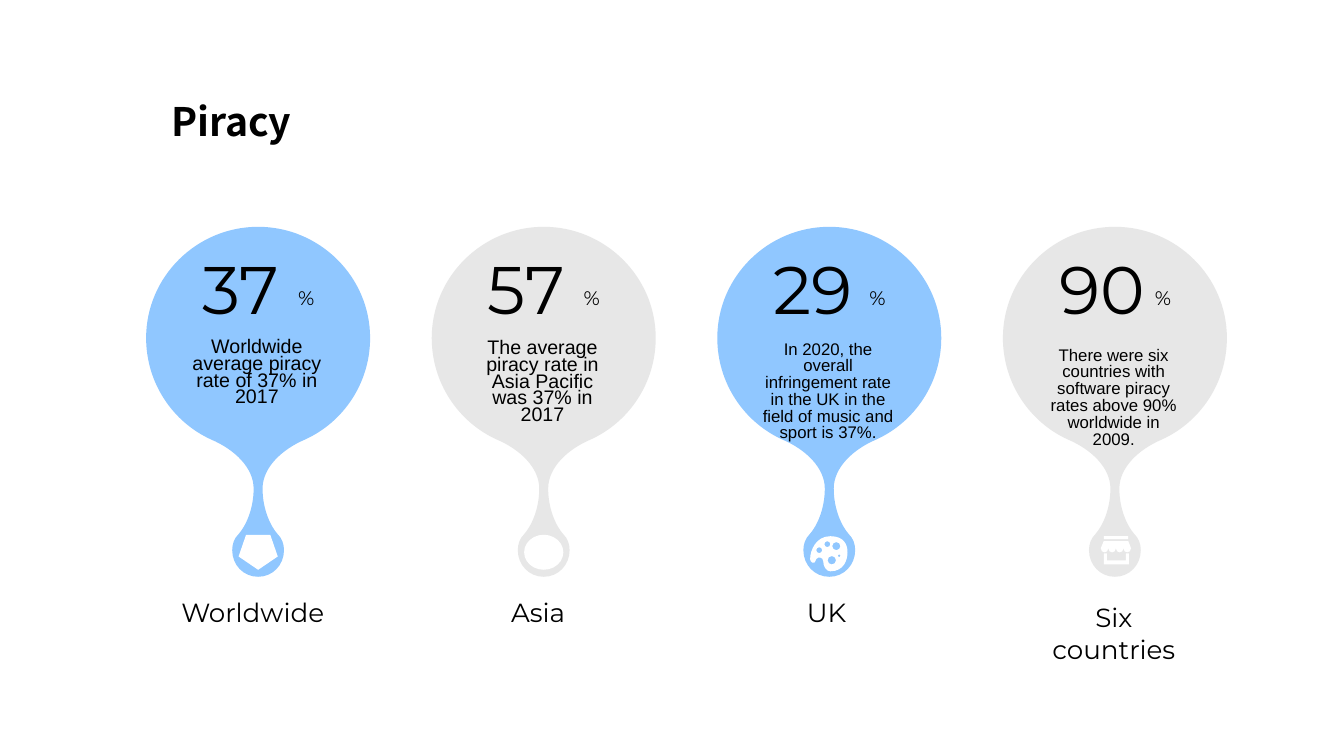
from pptx import Presentation
from pptx.dml.color import RGBColor
from pptx.enum import shapes, text
from pptx.oxml import ns
from pptx.util import Pt

BLUE = RGBColor(0x90, 0xC7, 0xFF)
GREY = RGBColor(0xE7, 0xE7, 0xE7)
WHITE = RGBColor(0xFF, 0xFF, 0xFF)
BLACK = RGBColor(0, 0, 0)
SANS = "Montserrat"

# An outline is a start point, then lines (x, y) or cubic curves (6 numbers).
# Left half of the drop, from its top centre
DROP = [
    (0, 0),
    (-43.8, 0, -80, 35.6, -80, 79.4),
    (-80, 111.6, -61, 139.5, -33.5, 152),
    (-17, 159, -3.2, 172, -3.2, 187),
    (-3.2, 202, -9, 214, -14, 219.6),
    (-17, 222.5, -18.5, 226.5, -18.5, 231),
    (-18.5, 241.5, -10.5, 250, 0, 250),
]
# Palette body and its holes (x, y, radius), from the icon centre
BODY = [
    (0.7, -10),
    (-9.4, -10, -13.7, 0, -13.7, 6.5),
    (-13.7, 8, -10.8, 11.5, -9.4, 6.5),
    (-8, 4.3, -4.3, 5, -4.3, 8),
    (-4.3, 11.5, -2.2, 15.1, 0.7, 15.1),
    (10.8, 15.1, 13, 6.5, 13, 1.4),
    (13, -3.6, 10.8, -10, 0.7, -10),
]
HOLES = [(-7.2, 0, 2.1), (-1.4, -4.3, 2.1), (1.8, 7.2, 3),
         (7, 4, 1.1), (5, -2.9, 2.9)]

# label, label offset and width, rate, note, note size, note top
DATA = [
    ("Worldwide", 18, 123, "37",
     "Worldwide average piracy rate of 37% in 2017", 14, 77.8),
    ("Asia", 49.7, 59.8, "57",
     "The average piracy rate in Asia Pacific was 37% in 2017", 14, 78.5),
    ("UK", 56.9, 46, "29",
     "In 2020, the overall infringement rate in the UK in the field of "
     "music and sport is 37%.", 12, 78.5),
    ("Six\ncountries", 20.2, 118, "90",
     "There were six countries with software piracy rates above 90% "
     "worldwide in 2009.", 12, 82.8),
]


def pairs(nums):
    return list(zip(nums[::2], nums[1::2]))


def mirror(half):
    """Close a left half with its reflection."""
    dots = [dot for step in half for dot in pairs(step)]
    back = [(-x, y) for x, y in dots[-2::-1]]
    return half + [sum(back[i:i + 3], ()) for i in range(0, len(back), 3)]


def ring(x, y, r):
    k = 0.55 * r
    return [(x, y - r),
            (x + k, y - r, x + r, y - k, x + r, y),
            (x + r, y + k, x + k, y + r, x, y + r),
            (x - k, y + r, x - r, y + k, x - r, y),
            (x - r, y - k, x - k, y - r, x, y - r)]


def paint(shape, color):
    shape.shadow.inherit = False
    shape.fill.solid()
    shape.fill.fore_color.rgb = color
    shape.line.fill.background()


def draw(slide, x, y, loops, color):
    """Fill one shape made of closed outlines around the point x, y."""
    pen = None
    for loop in loops:
        dots = [(Pt(x + a), Pt(y + b)) for step in loop for a, b in pairs(step)]
        if pen:
            pen.move_to(*dots[0])
        else:
            pen = slide.shapes.build_freeform(*dots[0], scale=1.0)
        pen.add_line_segments(dots[1:], close=True)
    shape = pen.convert_to_shape()
    # Join the three points of each curve
    nodes = iter(list(shape.element.iter(ns.qn("a:lnTo"))))
    for loop in loops:
        for step in loop[1:]:
            node = next(nodes)
            if len(step) == 6:
                node.tag = ns.qn("a:cubicBezTo")
                for _ in range(2):
                    extra = next(nodes)
                    node.append(extra[0])
                    extra.getparent().remove(extra)
    paint(shape, color)


def write(slide, box, words, size, font=SANS, wrap=False, mid=False,
          space=None, bold=False):
    frame = slide.shapes.add_textbox(*map(Pt, box)).text_frame
    frame.text = words
    frame.word_wrap = wrap
    frame.auto_size = text.MSO_AUTO_SIZE.SHAPE_TO_FIT_TEXT
    for para in frame.paragraphs:
        para.alignment = text.PP_ALIGN.CENTER if mid else text.PP_ALIGN.LEFT
        if space:
            para.line_spacing = space
        para.font.size = Pt(size)
        para.font.name = font
        para.font.bold = bold
        para.font.color.rgb = BLACK
    return frame


# Icons, each around the centre of the drop's foot
def plain(slide, kind, x, y, turn=0):
    mark = slide.shapes.add_shape(kind, Pt(x - 14), Pt(y - 11), Pt(28), Pt(25))
    mark.rotation = turn
    paint(mark, WHITE)


def gem(slide, x, y):
    plain(slide, shapes.MSO_SHAPE.REGULAR_PENTAGON, x, y, 180)


def dot(slide, x, y):
    plain(slide, shapes.MSO_SHAPE.OVAL, x, y)


def palette(slide, x, y):
    draw(slide, x, y, [BODY] + [ring(*hole) for hole in HOLES], WHITE)


def shop(slide, x, y):
    wide, edge = 5.4, -1.4
    awning = [(11.5, edge)]
    for i in range(4):
        a = 11.5 - i * wide
        awning.append((a, 2.5, a - wide, 2.5, a - wide, edge))
    awning += [(-8, -6.5), (9.6, -6.5)]
    bar = [(-7.9, -10.1), (9.4, -10.1), (9.4, -7.9), (-7.9, -7.9)]
    walls = [(-7.9, 2.2), (-5.8, 2.2), (-5.8, 7.2), (7.9, 7.2),
             (7.9, 2.2), (10, 2.2), (10, 10.1), (-7.9, 10.1)]
    draw(slide, x, y, [awning, bar, walls], WHITE)


def column(slide, x, y, color, icon, data):
    label, shift, wide, rate, note, size, top = data
    # Drop
    draw(slide, x + 80, y, [mirror(DROP)], color)
    # Rate and note
    write(slide, (x + 33.1, y + 10.8, 79.2, 65.5), rate, 48)
    write(slide, (x + 101.5, y + 38.9, 28.8, 24.5), "%", 14)
    write(slide, (x + 23, y + top, 112.3, 68), note, size, "Arial",
          wrap=True, mid=True, space=Pt(12))
    # Icon and label
    icon(slide, x + 80, y + 231)
    tall = "\n" in label
    write(slide, (x + shift, y + (264.2 if tall else 260.6), wide,
                  52.6 if tall else 30.2), label, 18.7, mid=tall)


def title(slide, box):
    frame = write(slide, box, "Piracy", 28, "Noto Sans CJK SC", wrap=True,
                  space=1.1, bold=True)
    frame.vertical_anchor = text.MSO_ANCHOR.MIDDLE


def main():
    deck = Presentation()
    deck.slide_width, deck.slide_height = Pt(960), Pt(540)
    slide = deck.slides.add_slide(deck.slide_layouts[6])
    title(slide, (115.2, 63.4, 237.6, 42.5))
    for i, (icon, data) in enumerate(zip((gem, dot, palette, shop), DATA)):
        column(slide, 104.4 + 204 * i, 162, (BLUE, GREY)[i % 2], icon, data)
    deck.save("out.pptx")


if __name__ == "__main__":
    main()
